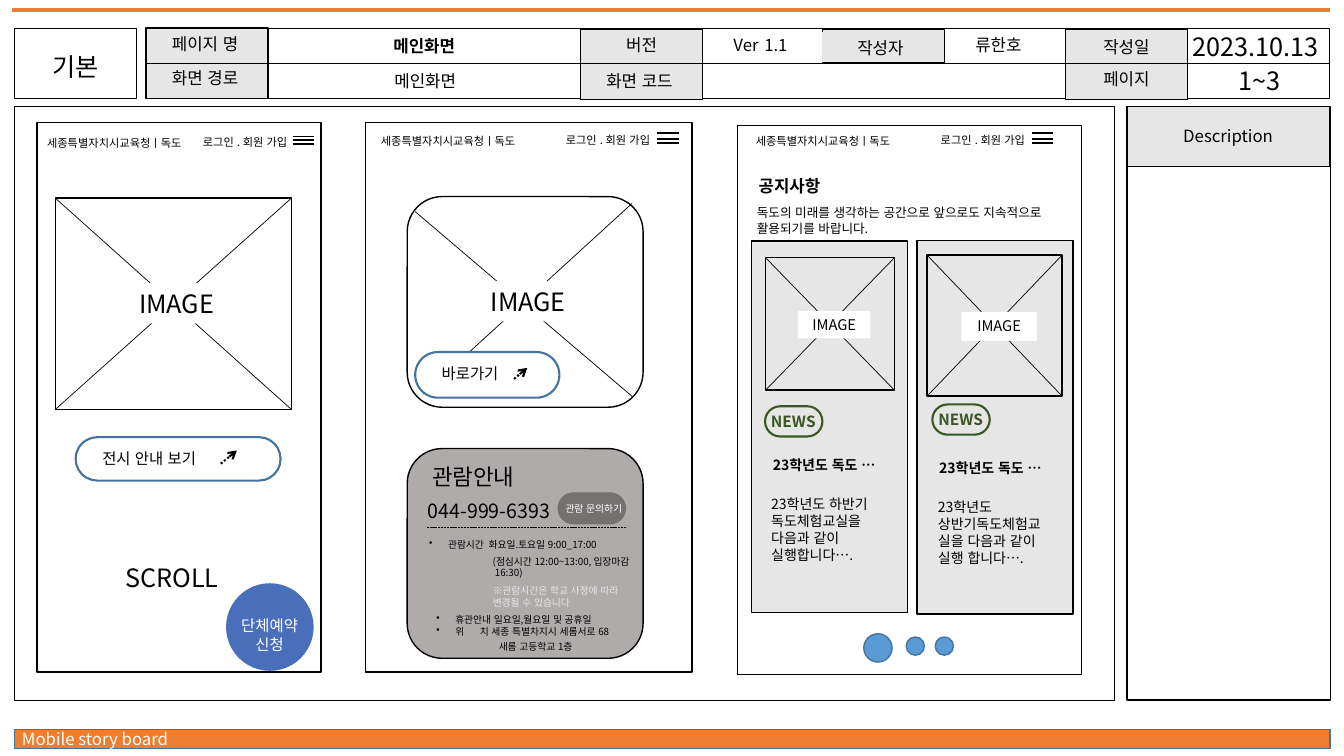
import pptx
import pptx.util
import pptx.dml.color
import pptx.enum.dml
import pptx.enum.lang
import pptx.enum.shapes
import pptx.enum.text
import pptx.oxml.ns
import lxml.etree

Pt = pptx.util.Pt
Color = pptx.dml.color.RGBColor
Kind = pptx.enum.shapes.MSO_SHAPE
Align = pptx.enum.text.PP_ALIGN
Dash = pptx.enum.dml.MSO_LINE
qn = pptx.oxml.ns.qn

BLACK = Color(0, 0, 0)
WHITE = Color(255, 255, 255)
ORANGE = Color(0xED, 0x7D, 0x31)
PALE = Color(0xE7, 0xE6, 0xE6)
STEEL = Color(0x43, 0x73, 0x9E)
ROYAL = Color(0x49, 0x6F, 0xBB)
SKY = Color(0x5B, 0x9B, 0xD5)
GREEN = Color(0x38, 0x57, 0x23)
PANEL = Color(0xAF, 0xAB, 0xAB)
DARK = Color(0x76, 0x71, 0x71)


class Storyboard:
    """Hold the font and the current page, and draw each kind of element."""

    def __init__(self, page, font):
        self.page = page
        self.font = font

    def box(self, x, y, w, h, fill=None, line=BLACK, weight=1, kind=Kind.RECTANGLE, round_by=None):
        box = self.page.shapes.add_shape(kind, Pt(x), Pt(y), Pt(w), Pt(h))
        box.shadow.inherit = False
        self.paint(box, fill, line, weight)
        if round_by is not None:
            box.adjustments[0] = round_by
        return box

    def paint(self, box, fill, line, weight):
        if fill is None:
            box.fill.background()
        else:
            box.fill.solid()
            box.fill.fore_color.rgb = fill
        if line is None:
            box.line.fill.background()
        else:
            box.line.color.rgb = line
            box.line.width = Pt(weight)

    def pill(self, x, y, w, h, fill=WHITE, line=STEEL):
        self.box(x, y, w, h, fill, line, 1.5, Kind.ROUNDED_RECTANGLE, 0.5)

    def style(self, span, size, color=BLACK, bold=False):
        span.font.size = Pt(size)
        span.font.bold = bold
        span.font.color.rgb = color
        span.font.name = self.font
        span.font.language_id = pptx.enum.lang.MSO_LANGUAGE_ID.KOREAN
        lxml.etree.SubElement(span.font._element, qn("a:ea"), typeface=self.font)

    def text(self, x, y, w, h, words, size=12, color=BLACK, align=Align.LEFT, bold=False,
             fill=None, line=None, wrap=True, tab=None):
        box = self.page.shapes.add_textbox(Pt(x), Pt(y), Pt(w), Pt(h))
        self.paint(box, fill, line, 0.75)
        frame = box.text_frame
        frame.text = words
        frame.word_wrap = wrap
        frame.auto_size = pptx.enum.text.MSO_AUTO_SIZE.SHAPE_TO_FIT_TEXT
        for para in frame.paragraphs:
            para.alignment = align
            if tab:
                self.bullet(para, tab)
            for span in para.runs:
                self.style(span, size, color, bold)
        return box

    def label(self, x, y, w, h, words, size=12, **style):
        return self.text(x, y, w, h, words, size, align=Align.CENTER, **style)

    def bullet(self, para, tab):
        props = para._p.get_or_add_pPr()
        props.set("marL", str(Pt(13.5)))
        props.set("indent", str(-Pt(13.5)))
        lxml.etree.SubElement(props, qn("a:buChar"), char="•")
        stops = lxml.etree.SubElement(props, qn("a:tabLst"))
        lxml.etree.SubElement(stops, qn("a:tab"), pos=str(Pt(tab)), algn="l")

    def line(self, x1, y1, x2, y2, weight=0.5, color=BLACK, dash=None, arrow=False):
        line = self.page.shapes.add_connector(
            pptx.enum.shapes.MSO_CONNECTOR.STRAIGHT, Pt(x1), Pt(y1), Pt(x2), Pt(y2))
        line.line.color.rgb = color
        line.line.width = Pt(weight)
        if dash:
            line.line.dash_style = dash
        if arrow:
            lxml.etree.SubElement(line.line._get_or_add_ln(), qn("a:tailEnd"), type="arrow")
        lxml.etree.SubElement(line._element.spPr, qn("a:effectLst"))

    def image_frame(self, x, y, w, h):
        self.box(x, y, w, h)
        self.line(x, y, x + w, y + h)
        self.line(x, y + h, x + w, y)

    def phone_header(self, title_x, login_x, menu_x, top, bars):
        self.text(title_x, top, 134.6, 17.3, "세종특별자치시교육청ㅣ독도", 8)
        self.text(login_x, top - 0.7, 89.3, 17.3, "로그인 . 회원 가입 ", 8, align=Align.RIGHT)
        for y in bars:
            self.line(menu_x, y, menu_x + 15.5, y, 1)

    def news_card(self, x, y, h, frame, caption, badge, title, body, words):
        self.box(x, y, 111.6, h, PALE)
        self.image_frame(*frame)
        self.label(*caption, "IMAGE", 10.5, fill=WHITE)
        badge_x, badge_y = badge
        self.pill(badge_x, badge_y, 41, 21.6, PALE, GREEN)
        self.label(badge_x - 5.7, badge_y + 0.7, 51.8, 20.9, "NEWS", 11, color=GREEN, bold=True)
        self.text(*title, 92.2, 19.4, "23학년도 독도 …", 10, bold=True)
        self.text(*body, 92.2, 55.4, words, 10)


deck = pptx.Presentation()
deck.slide_width, deck.slide_height = Pt(960), Pt(540)
board = Storyboard(deck.slides.add_slide(deck.slide_layouts[6]), "Noto Sans CJK KR")

board.line(8.6, 7.2, 949.7, 7.2, 3, ORANGE)
board.box(10.5, 521, 939.6, 13.7, ORANGE, STEEL)
board.text(8.6, 517, 230.4, 21.6, "Mobile story board", color=WHITE)

board.box(10.5, 20.2, 87.1, 50.4)
board.box(104.4, 20.2, 845.3, 50.4)
board.box(10.5, 76.1, 785.5, 424.1)
for x, y, w in ((26.4, 87.6, 203), (261.1, 87.6, 233.3), (527, 89.5, 245.5)):
    board.box(x, y, w, 392.4)
for x, y, h in ((104.4, 20, 50.4), (414.7, 20.9, 50.2), (587.5, 20.9, 24.2), (761, 20.9, 50.2)):
    board.box(x, y, 87.1, h, PALE)
board.line(104.4, 45.2, 949.7, 45.2)

board.label(12.4, 33.1, 82.8, 30.2, "기본", 18)
for x, y, words in ((105.1, 20.9, "페이지 명"), (105.1, 44.6, "화면 경로"), (416.9, 21.6, "버전"),
                    (415.4, 46.8, "화면 코드"), (763.2, 23, "작성일"), (763.2, 45.4, "페이지")):
    board.label(x, y, 82.8, 21.6, words)
board.label(587.5, 23.3, 82.8, 21.6, "작성자", line=PALE)
board.line(587.5, 45, 674.6, 45, 1)
board.label(640.8, 21.6, 144.7, 21.6, "류한호")
board.label(834, 18.7, 125.5, 28.8, "2023.10.13", 18)
version = board.label(470.9, 15.1, 144.7, 28.8, "Ver")
for words, size in ((" ", 18), ("1.1", 12)):
    span = version.text_frame.paragraphs[0].add_run()
    span.text = words
    board.style(span, size)
board.label(220.3, 22.3, 165.6, 21.6, "메인화면", bold=True)
board.label(221, 46.8, 165.6, 21.6, "메인화면")
board.label(849.6, 43.2, 100, 28.8, "1~3", 18)

board.box(805, 75.9, 145.4, 424.1)
board.box(805, 75.9, 144.7, 43.2, PALE)
board.label(815, 86.4, 124.6, 21.6, "Description")

board.phone_header(26.6, 125.3, 209, 94, (97.6, 100.1, 103))
board.image_frame(39.6, 141.6, 168.5, 150.8)
board.text(92.2, 202.3, 95, 28.8, "IMAGE", 18, fill=WHITE)
board.pill(54, 312.3, 146.4, 31)
board.text(66, 317.3, 89.3, 20.9, "전시 안내 보기", 11, wrap=False)
board.line(157.7, 331.2, 169.2, 321.8, 1.5, dash=Dash.ROUND_DOT, arrow=True)
board.text(82.6, 398.2, 86.4, 28.8, "SCROLL", 18)
board.box(161.5, 416.6, 62.6, 62.6, ROYAL, None, kind=Kind.OVAL)
board.label(147.6, 436.8, 90, 33.8, "단체예약\n신청", 11, color=WHITE)

board.phone_header(265, 384.5, 469.2, 92.7, (95, 99.4, 102.2))
board.box(290.9, 140.4, 168.5, 150.5, WHITE, kind=Kind.ROUNDED_RECTANGLE)
board.line(296.6, 151.2, 452.2, 283.7)
board.line(302.4, 281.5, 451.4, 145.4)
board.text(343.4, 200.9, 95, 28.8, "IMAGE", 18, fill=WHITE)
board.pill(296.6, 251.5, 103, 32.6)
board.text(308.4, 256.3, 62.6, 20.9, "바로가기", 11)
board.line(367.2, 270.7, 376.6, 262.8, 1.5, dash=Dash.ROUND_DOT, arrow=True)

board.box(290.9, 320.4, 168.5, 149.8, PANEL, kind=Kind.ROUNDED_RECTANGLE)
board.label(294.6, 327.2, 87.1, 26.6, "관람안내", 16)
board.text(298.4, 352.8, 107.3, 24.5, "044-999-6393", 14)
board.pill(398.2, 351.6, 49, 23, DARK, None)
board.label(342, 355.7, 164.2, 15.8, "관람 문의하기", 7, color=WHITE)
board.line(304.8, 376.6, 447.1, 376.6, dash=Dash.SQUARE_DOT)
board.text(299.5, 381.2, 141.1, 15.8, "관람시간\t화요일.토요일 9:00_17:00", 7, tab=42.5)
board.text(344.9, 393.1, 141.1, 24.5, "(점심시간 12:00~13:00, 입장마감\n 16:30)", 7)
board.text(344.9, 414, 111.6, 24.5, "※관람시간은 학교 사정에 따라 변경될 수 있습니다", 7, PALE)
board.text(304.6, 434.7, 152.6, 24.5, "휴관안내 일요일,월요일 및 공휴일\n위\t치 세종 특별차지시 세롬서로 68",
           7, tab=31)
board.text(349.2, 453.8, 102.2, 15.8, "새롬 고등학교 1층", 7)

board.phone_header(532.8, 652.3, 737, 92.7, (95, 99.4, 102.2))
board.text(534.8, 121.7, 67.7, 21.6, "공지사항", bold=True)
board.text(533.5, 143.1, 229.7, 28.8, "독도의 미래를 생각하는 공간으로 앞으로도 지속적으로 활용되기를 바랍니다.", 9)
board.news_card(536.6, 172.1, 265.5, (546.9, 184.1, 92, 94.6), (570, 222.3, 51.8, 19.4),
                (546.5, 290.2), (545, 322.6), (543.8, 350.6),
                "23학년도 하반기 독도체험교실을\n다음과 같이 실행합니다….")
board.news_card(654.9, 171.6, 267.1, (662.2, 182.2, 96.5, 100.8), (686.7, 222.7, 54, 20.9),
                (666, 288.9), (663.8, 324.7), (662.9, 352.8),
                "23학년도 상반기독도체험교실을 다음과 같이 실행 합니다….")
for x, y, size in ((617, 452.7, 20.2), (647.3, 455, 13), (668, 455, 13)):
    board.box(x, y, size, size, SKY, STEEL, kind=Kind.OVAL)

deck.save("out.pptx")
